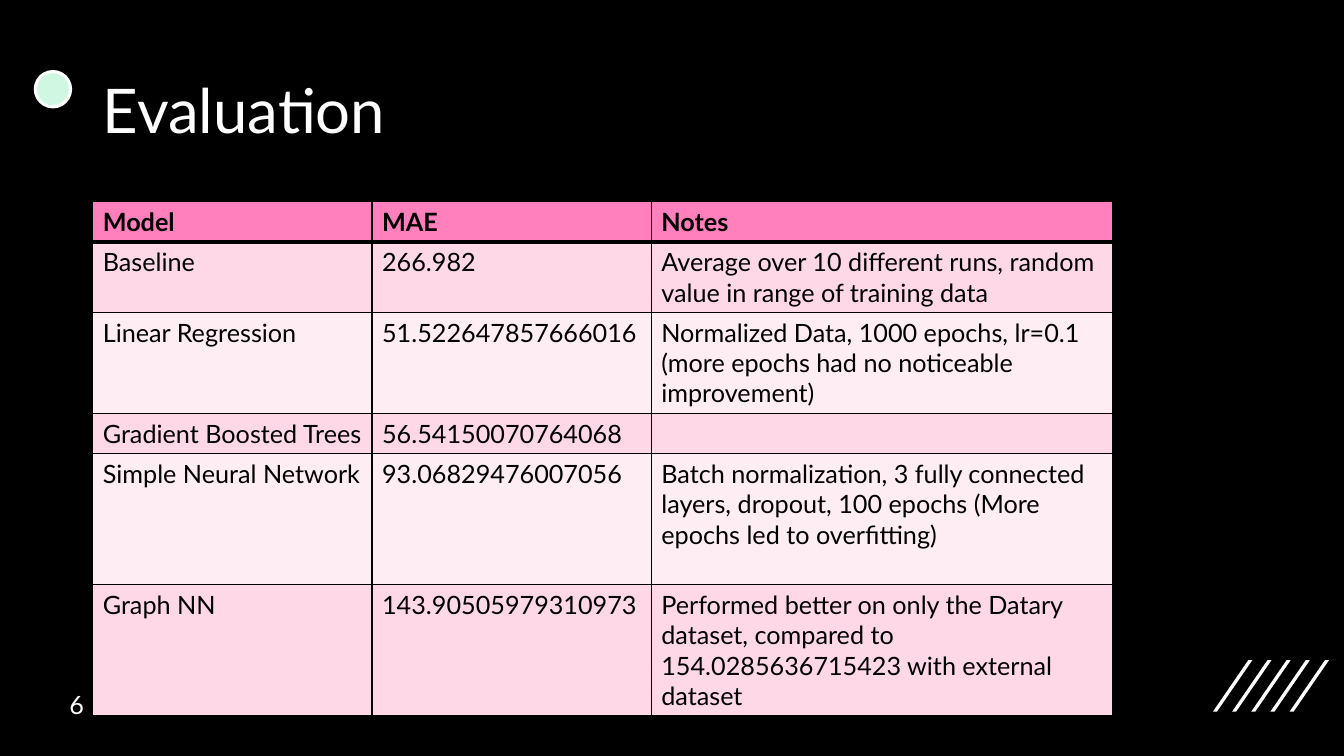
import pptx
import pptx.dml.color
import pptx.enum.shapes
import pptx.enum.text
import pptx.oxml
import pptx.oxml.ns
import pptx.util
from pptx.util import Inches

FONT = "Lato"
WHITE, BLACK, MINT = "FFFFFF", "000000", "CFF7E1"
HEADER_PINK, BAND_PINKS = "FF80BD", ("FFD8E8", "FFEDF4")
COLUMN_WIDTHS = (2.77, 2.77, 4.58)
ROW_HEIGHTS = (0.4, 0.7, 1, 0.4, 1.3, 1.3)
RESULTS = (
    ("Model", "MAE", "Notes"),
    ("Baseline", "266.982",
     "Average over 10 different runs, random value in range of training data"),
    ("Linear Regression", "51.522647857666016",
     "Normalized Data, 1000 epochs, lr=0.1 (more epochs had no noticeable improvement)"),
    ("Gradient Boosted Trees", "56.54150070764068", ""),
    ("Simple Neural Network", "93.06829476007056",
     "Batch normalization, 3 fully connected layers, dropout, 100 epochs "
     "(More epochs led to overfitting)"),
    ("Graph NN", "143.90505979310973",
     "Performed better on only the Datary dataset, compared to "
     "154.0285636715423 with external dataset"),
)


def paint(target, color):
    """Give a fill a solid colour."""
    target.solid()
    target.fore_color.rgb = pptx.dml.color.RGBColor.from_string(color)


def write(frame, text, size, color, bold=False):
    para = frame.paragraphs[0]
    para.text = text
    para.alignment = pptx.enum.text.PP_ALIGN.LEFT
    para.font.name = FONT
    para.font.size = pptx.util.Pt(size)
    para.font.bold = bold
    paint(para.font.fill, color)
    return para


def set_borders(cell, header, below_header):
    """Draw black cell edges, thick below the header row."""
    widths = {"L": 1, "R": 1, "T": 3 if below_header else 1, "B": 3 if header else 1}
    properties = cell._tc.get_or_add_tcPr()
    for position, (side, width) in enumerate(widths.items()):
        properties.insert(position, pptx.oxml.parse_xml(
            f'<a:ln{side} {pptx.oxml.ns.nsdecls("a")} w="{pptx.util.Pt(width)}">'
            f'<a:solidFill><a:srgbClr val="{BLACK}"/></a:solidFill></a:ln{side}>'))


def add_stripes(page):
    """Five slanted strokes in the lower right corner."""
    for index in range(5):
        left = 12.03 + 0.19 * index
        builder = page.shapes.build_freeform(
            Inches(left + 0.04), Inches(7.06), scale=1.0)
        builder.add_line_segments(
            [(Inches(left + x), Inches(y))
             for x, y in ((0, 7.06), (0.35, 6.55), (0.39, 6.55))], close=True)
        stripe = builder.convert_to_shape()
        stripe.shadow.inherit = False
        paint(stripe.fill, WHITE)
        stripe.line.fill.background()


def add_dot(page):
    dot = page.shapes.add_shape(
        pptx.enum.shapes.MSO_SHAPE.OVAL,
        Inches(0.35), Inches(0.71), Inches(0.35), Inches(0.35))
    dot.shadow.inherit = False
    paint(dot.fill, MINT)
    paint(dot.line.fill, WHITE)
    dot.line.width = pptx.util.Pt(2.25)


def set_title(page, text):
    title = page.shapes.title
    title.left, title.top = Inches(0.92), Inches(0.4)
    title.width, title.height = Inches(11.5), Inches(1.45)
    frame = title.text_frame
    frame.auto_size = pptx.enum.text.MSO_AUTO_SIZE.NONE
    frame.vertical_anchor = pptx.enum.text.MSO_ANCHOR.MIDDLE
    write(frame, text, 44, WHITE).line_spacing = 0.9


def add_results_table(page):
    table = page.shapes.add_table(
        len(RESULTS), len(COLUMN_WIDTHS), Inches(0.92), Inches(2),
        Inches(sum(COLUMN_WIDTHS)), Inches(sum(ROW_HEIGHTS))).table
    for column, width in zip(table.columns, COLUMN_WIDTHS):
        column.width = Inches(width)
    for index, (row, height, texts) in enumerate(zip(table.rows, ROW_HEIGHTS, RESULTS)):
        row.height = Inches(height)
        header = index == 0
        color = HEADER_PINK if header else BAND_PINKS[(index - 1) % 2]
        for cell, text in zip(row.cells, texts):
            paint(cell.fill, color)
            set_borders(cell, header, index == 1)
            write(cell.text_frame, text, 18, BLACK, header)


def add_page_number(page, number):
    box = page.shapes.add_textbox(
        Inches(0.59), Inches(6.79), Inches(0.33), Inches(0.4))
    box.text_frame.word_wrap = False
    box.text_frame.auto_size = pptx.enum.text.MSO_AUTO_SIZE.SHAPE_TO_FIT_TEXT
    write(box.text_frame, number, 18, WHITE)


def main():
    deck = pptx.Presentation()
    deck.slide_width, deck.slide_height = Inches(13.33), Inches(7.5)
    page = deck.slides.add_slide(deck.slide_layouts[5])
    paint(page.background.fill, BLACK)

    # Decoration
    add_stripes(page)
    add_dot(page)

    # Content
    set_title(page, "Evaluation")
    add_results_table(page)
    add_page_number(page, "6")
    deck.save("out.pptx")


if __name__ == "__main__":
    main()
